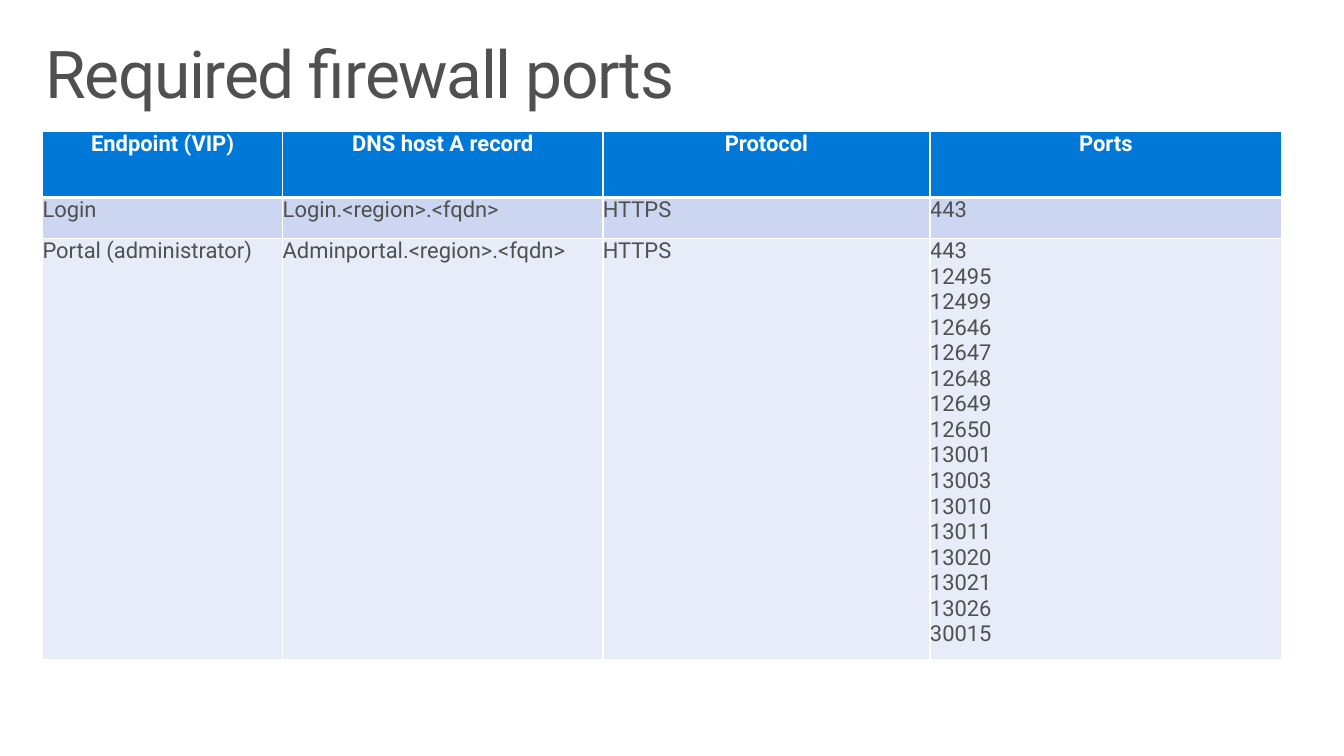
import copy
from dataclasses import dataclass

import pptx
import pptx.dml.color
import pptx.enum.text
import pptx.oxml
import pptx.oxml.ns
import pptx.util

Pt = pptx.util.Pt
qn = pptx.oxml.ns.qn

TITLE = "Required firewall ports"
PORTS = [443, 12495, 12499, 12646, 12647, 12648, 12649, 12650,
         13001, 13003, 13010, 13011, 13020, 13021, 13026, 30015]
ROWS = [
    ("Endpoint (VIP)", "DNS host A record", "Protocol", "Ports"),
    ("Login", "Login.<region>.<fqdn>", "HTTPS", "443"),
    ("Portal (administrator)", "Adminportal.<region>.<fqdn>", "HTTPS",
     "\n".join(map(str, PORTS))),
]
WIDTHS = [175, 233.3, 238.3, 256.3]
HEIGHTS = [48, 30, 26]


@dataclass(frozen=True)
class Theme:
    """Colours, font and sizes of the slide."""
    font: str = "Roboto"
    ink: str = "505050"
    white: str = "FFFFFF"
    fills: tuple = ("0078D7", "CCD6F0", "E7ECF8")
    title: int = 48
    body: int = 16
    thin: int = 1
    thick: int = 3


LOOK = Theme()


def color(code):
    """Turn a hex code into a colour."""
    return pptx.dml.color.RGBColor.from_string(code)


def style(para, size, ink, bold=False):
    """Format the runs of a paragraph and its line breaks."""
    for run in para.runs:
        font = run.font
        font.name, font.size, font.bold = LOOK.font, Pt(size), bold
        font.color.rgb = color(ink)
    for gap in para._p.findall(qn("a:br")):
        gap.append(copy.deepcopy(para.runs[0].font._element))


def edge(cell, side, width):
    """Draw one white border of a cell."""
    line = pptx.oxml.parse_xml(
        f'<a:ln{side} {pptx.oxml.ns.nsdecls("a")} w="{Pt(width)}">'
        f'<a:solidFill><a:srgbClr val="{LOOK.white}"/></a:solidFill>'
        f'</a:ln{side}>')
    cell._tc.get_or_add_tcPr().append(line)


def fill(cell, text, row):
    """Set the text, borders and fill of a cell."""
    head = row == 0
    cell.margin_left = cell.margin_right = 0
    cell.margin_top = cell.margin_bottom = 0
    para = cell.text_frame.paragraphs[0]
    para.text = text
    para.space_before = Pt(1)
    if head:
        para.alignment = pptx.enum.text.PP_ALIGN.CENTER
    style(para, LOOK.body, LOOK.white if head else LOOK.ink, head)
    for side in "LRTB":
        rule = (side, row) in (("B", 0), ("T", 1))
        edge(cell, side, LOOK.thick if rule else LOOK.thin)
    cell.fill.solid()
    cell.fill.fore_color.rgb = color(LOOK.fills[row])


def add_title(slide):
    """Place the heading."""
    box = slide.shapes.add_textbox(Pt(21.6), Pt(23), Pt(936), Pt(72))
    frame = box.text_frame
    frame.word_wrap = True
    frame.margin_left = frame.margin_right = Pt(11.5)
    frame.margin_top = frame.margin_bottom = Pt(7.2)
    para = frame.paragraphs[0]
    para.text = TITLE
    para.line_spacing = 0.9
    style(para, LOOK.title, LOOK.ink)
    para.runs[0].font._element.set("spc", "-100")


def add_grid(slide):
    """Place the table of ports; its last row grows with its text."""
    grid = slide.shapes.add_table(
        len(ROWS), len(WIDTHS), Pt(31), Pt(95.8),
        Pt(sum(WIDTHS)), Pt(sum(HEIGHTS))).table
    for col, width in zip(grid.columns, WIDTHS):
        col.width = Pt(width)
    for row, (texts, height) in enumerate(zip(ROWS, HEIGHTS)):
        grid.rows[row].height = Pt(height)
        for col, text in enumerate(texts):
            fill(grid.cell(row, col), text, row)


def main():
    """Build and save the slide."""
    deck = pptx.Presentation()
    deck.slide_width, deck.slide_height = Pt(979.2), Pt(550.8)
    slide = deck.slides.add_slide(deck.slide_layouts[6])
    add_title(slide)
    add_grid(slide)
    deck.save("out.pptx")


main()
